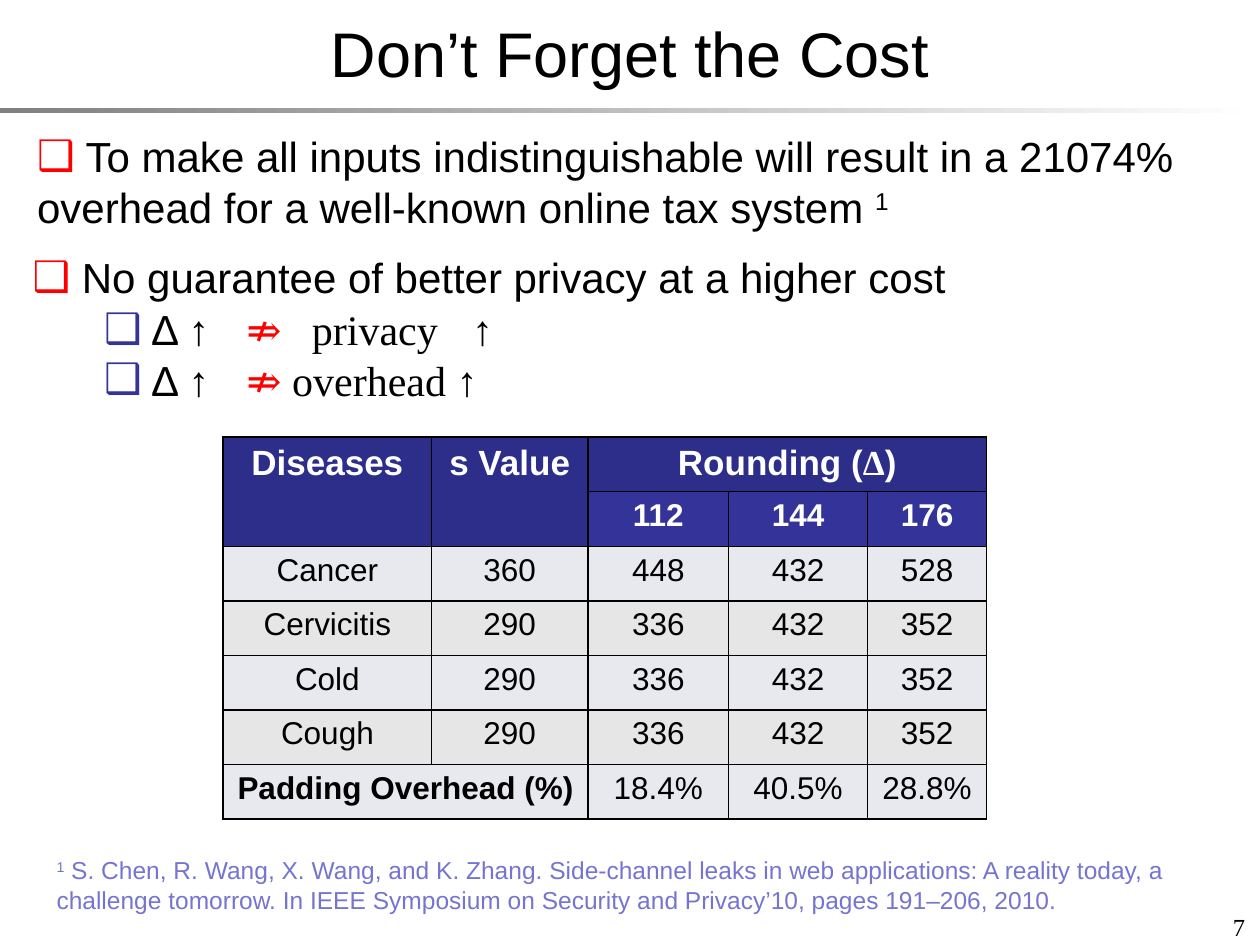
from dataclasses import dataclass
from pptx import Presentation
from pptx import oxml
from pptx import util as u
from pptx.dml.color import RGBColor
from pptx.enum import shapes, text
from pptx.oxml import ns

HUES = {
    "black": "000000", "white": "FFFFFF", "gray": "808080", "red": "FF0000",
    "navy": "2D2D8A", "blue": "333399", "note": "7575D1",
    "pale": "E8E8EF", "ash": "E6E6E6",
}
SANS, SERIF = "Arial", "Times New Roman"


@dataclass
class Part:
    words: str
    font: str = SANS
    hue: str = "black"
    size: float = 24
    bold: bool = False
    sup: bool = False


@dataclass
class Box:
    left: float
    top: float
    width: float
    height: float
    lines: list
    mark: str = ""
    level: int = 0
    tabs: tuple = ()
    align: text.PP_ALIGN = text.PP_ALIGN.LEFT
    anchor: text.MSO_ANCHOR = text.MSO_ANCHOR.TOP


def color(name: str) -> RGBColor:
    return RGBColor.from_string(HUES[name])


def node(tag: str, body: str = "", attrs: str = ""):
    return oxml.parse_xml(f"<a:{tag} {ns.nsdecls('a')} {attrs}>{body}</a:{tag}>")


def write(para, parts: list, align: text.PP_ALIGN) -> None:
    para.alignment = align
    for part in parts:
        run = para.add_run()
        run.text = part.words
        font = run.font
        font.name, font.size, font.bold = part.font, u.Pt(part.size), part.bold
        font.color.rgb = color(part.hue)
        if part.sup:
            run._r.get_or_add_rPr().set("baseline", "30000")


def style(para, box: Box) -> None:
    """Give a paragraph its bullet, indent and tab stops."""
    props = para._p.get_or_add_pPr()
    para.level = box.level
    props.set("marL", str(u.Cm(0.3 * box.level)))
    props.set("indent", str(u.Cm(0.36 * box.level)))
    props.append(node("buClr", f'<a:srgbClr val="{HUES[box.mark]}"/>'))
    props.append(node("buFont", attrs=f'typeface="{SANS}"'))
    props.append(node("buChar", attrs='char="❑"'))
    if box.tabs:
        stops = "".join(f'<a:tab pos="{u.Cm(t)}" algn="l"/>' for t in box.tabs)
        props.append(node("tabLst", stops))


def draw(slide, box: Box) -> None:
    shape = slide.shapes.add_textbox(
        *map(u.Cm, (box.left, box.top, box.width, box.height)))
    frame = shape.text_frame
    frame.word_wrap = True
    frame.vertical_anchor = box.anchor
    for i, parts in enumerate(box.lines):
        para = frame.add_paragraph() if i else frame.paragraphs[0]
        write(para, parts, box.align)
        if box.mark:
            style(para, box)


def paint(cell, fill: str) -> None:
    """Fill a cell and rule its four sides."""
    props = cell._tc.get_or_add_tcPr()
    for side in ("lnL", "lnR", "lnT", "lnB"):
        line = f'<a:solidFill><a:srgbClr val="{HUES["black"]}"/></a:solidFill>'
        props.append(node(side, line, f'w="{u.Pt(1)}"'))
    cell.fill.solid()
    cell.fill.fore_color.rgb = color(fill)


def grid(slide) -> None:
    rows = [
        ["Diseases", "s Value", "Rounding (Δ)", "", ""],
        ["", "", "112", "144", "176"],
        ["Cancer", "360", "448", "432", "528"],
        ["Cervicitis", "290", "336", "432", "352"],
        ["Cold", "290", "336", "432", "352"],
        ["Cough", "290", "336", "432", "352"],
        ["Padding Overhead (%)", "", "18.4%", "40.5%", "28.8%"],
    ]
    wide = [4.2, 3.15, 2.84, 2.8, 2.4]
    high = 1.1
    table = slide.shapes.add_table(
        len(rows), len(wide), u.Cm(4.5), u.Cm(8.81),
        u.Cm(sum(wide)), u.Cm(high * len(rows))).table
    for col, width in zip(table.columns, wide):
        col.width = u.Cm(width)
    for r, row in enumerate(rows):
        table.rows[r].height = u.Cm(high)
        for c, words in enumerate(row):
            cell = table.cell(r, c)
            head = r < 2
            if head:
                fill = "blue" if r == 1 and c > 1 else "navy"
            else:
                fill = "ash" if r % 2 else "pale"
            paint(cell, fill)
            if not words:
                continue
            look = dict(hue="white" if head else "black",
                        size=18 if r else 20,
                        bold=head or words.startswith("Padding"))
            pre, delta, post = words.partition("Δ")
            parts = [Part(pre, **look)]
            if delta:
                parts += [Part(delta, SERIF, **look), Part(post, **look)]
            write(cell.text_frame.paragraphs[0], parts, text.PP_ALIGN.CENTER)
    # Merged cells
    for first, last in (((0, 0), (1, 0)), ((0, 1), (1, 1)),
                        ((0, 2), (0, 4)), ((6, 0), (6, 1))):
        table.cell(*first).merge(table.cell(*last))


def claim(rest: str) -> list:
    return [Part(" Δ "), Part("↑\t", SERIF), Part("⇏", SERIF, "red"),
            Part(rest, SERIF)]


def main() -> None:
    deck = Presentation()
    deck.slide_width, deck.slide_height = u.Cm(25.4), u.Cm(19.05)
    slide = deck.slides.add_slide(deck.slide_layouts[5])

    # Title
    title = slide.shapes.title
    title.left, title.top, title.width, title.height = map(
        u.Cm, (0, 0, 25.4, 2.1))
    frame = title.text_frame
    frame.auto_size = text.MSO_AUTO_SIZE.NONE
    frame.vertical_anchor = text.MSO_ANCHOR.MIDDLE
    write(frame.paragraphs[0], [Part("Don’t Forget the Cost", size=36)],
          text.PP_ALIGN.CENTER)

    # Fading rule under the title
    rule = slide.shapes.add_shape(
        shapes.MSO_SHAPE.RECTANGLE, *map(u.Cm, (0, 2.18, 25.4, 0.09)))
    rule.shadow.inherit = False
    rule.line.fill.background()
    rule.fill.gradient()
    rule.fill.gradient_angle = 0
    for stop, hue in zip(rule.fill.gradient_stops, ("gray", "white")):
        stop.color.rgb = color(hue)

    # Points, footnote and page number
    boxes = [
        Box(0.5, 2.51, 24.2, 2.3, [[
            Part(" To make all inputs indistinguishable will result in a "
                 "21074% overhead for a well-known online tax system "),
            Part("1", sup=True)]], mark="red"),
        Box(0.41, 4.95, 19.7, 1.28, [[
            Part(" No guarantee of better privacy at a higher cost")]],
            mark="red"),
        Box(1.19, 6, 12.1, 2.3,
            [claim("\tprivacy\t↑"), claim(" overhead ↑")],
            mark="blue", level=1, tabs=(3.53, 4.85, 8.08)),
        Box(0.89, 17.12, 23.2, 1.45, [[
            Part("1", hue="note", size=14, sup=True),
            Part(" S. Chen, R. Wang, X. Wang, and K. Zhang. Side-channel "
                 "leaks in web applications: A reality today, a challenge "
                 "tomorrow. In IEEE Symposium on Security and Privacy’10, "
                 "pages 191–206, 2010.", hue="note", size=14)]]),
        Box(19.43, 18.24, 5.92, 0.89, [[Part("7", SERIF, size=14)]],
            align=text.PP_ALIGN.RIGHT, anchor=text.MSO_ANCHOR.MIDDLE),
    ]
    for box in boxes:
        draw(slide, box)

    # Overhead table
    grid(slide)
    deck.save("out.pptx")


if __name__ == "__main__":
    main()
